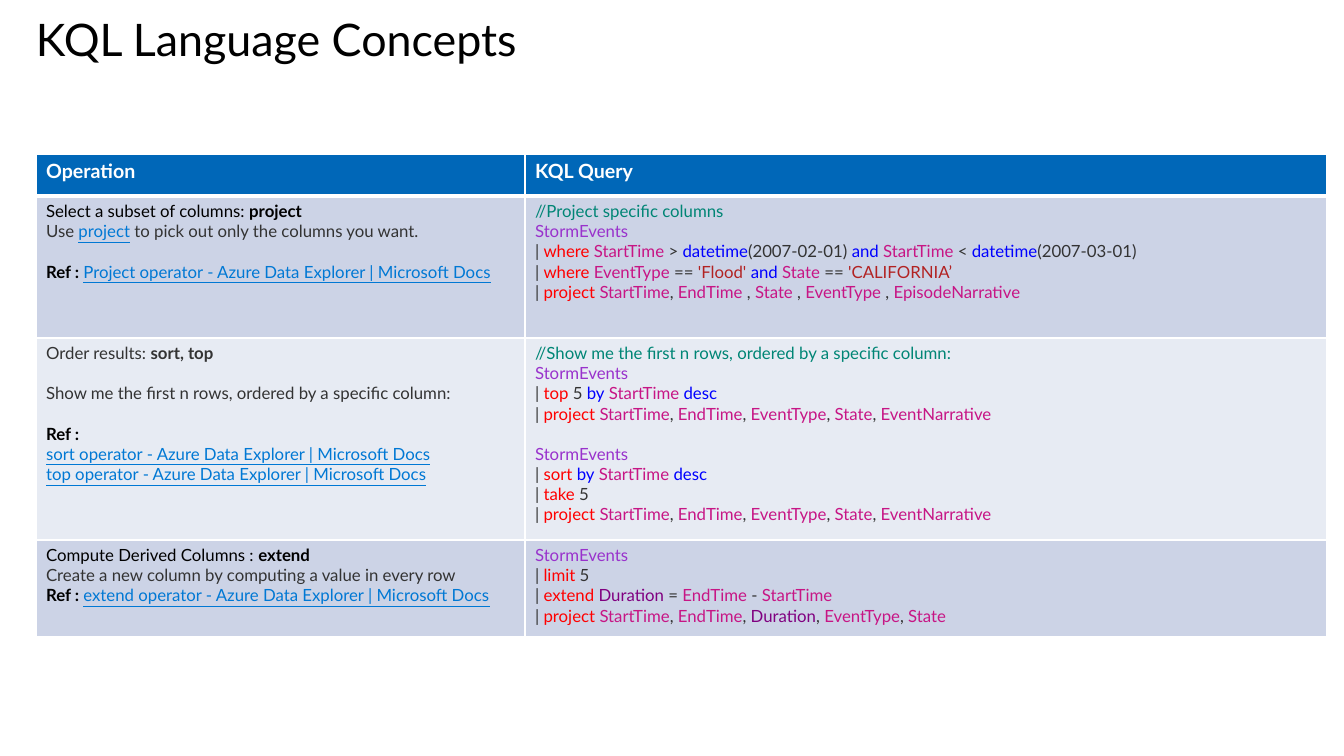
import itertools

import pptx
import pptx.dml.color
import pptx.enum.text
import pptx.oxml
import pptx.oxml.ns
import pptx.util

PX = 914400 / 100.8
FONT = "Lato"
LINE_GAP = 14.4

COLORS = {
    "white": "FFFFFF", "black": "000000", "grey": "333333", "link": "0078D4",
    "header": "0067B8", "band_dark": "CCD3E6", "band_light": "E7EBF3",
    "comment": "008575", "table": "9932CC", "operator": "FF0000",
    "keyword": "0000FF", "column": "C71585", "string": "B22222", "new_column": "800080",
}

TOKENS = {
    "table": ["StormEvents"],
    "operator": ["where", "project", "top", "sort", "take", "limit", "extend"],
    "keyword": ["datetime", "and", "by", "desc"],
    "column": ["StartTime", "EndTime", "EventType", "State", "EpisodeNarrative", "EventNarrative"],
    "new_column": ["Duration"],
}
TOKEN_COLORS = {word: color for color, words in TOKENS.items() for word in words}

BLACK = {"color": "black"}
BOLD = {"color": "black", "bold": True}
GREY = {"color": "grey"}
GREY_BOLD = {"color": "grey", "bold": True}
LINK = {"color": "link", "underline": True}

# Each cell is a list of stanzas, each stanza a list of lines.
ROWS = [
    ("band_dark", 142,
     [[[("Select a subset of columns: ", BLACK), ("project", BOLD)],
       [("Use ", GREY), ("project", LINK), (" to pick out only the columns you want.", GREY)]],
      [[("Ref : ", BOLD), ("Project operator - Azure Data Explorer | Microsoft Docs", LINK)]]],
     [["//Project specific columns",
       "StormEvents",
       "| where StartTime > datetime(2007-02-01) and StartTime < datetime(2007-03-01)",
       "| where EventType == 'Flood' and State == 'CALIFORNIA’",
       "| project StartTime, EndTime , State , EventType , EpisodeNarrative"]]),
    ("band_light", 202,
     [[[("Order results: ", GREY), ("sort, top", GREY_BOLD)]],
      [[("Show me the first n rows, ordered by a specific column:", GREY)]],
      [[("Ref :", BOLD)],
       [("sort operator - Azure Data Explorer | Microsoft Docs", LINK)],
       [("top operator - Azure Data Explorer | Microsoft Docs", LINK)]]],
     [["//Show me the first n rows, ordered by a specific column:",
       "StormEvents",
       "| top 5 by StartTime desc",
       "| project StartTime, EndTime, EventType, State, EventNarrative"],
      ["StormEvents",
       "| sort by StartTime desc",
       "| take 5",
       "| project StartTime, EndTime, EventType, State, EventNarrative"]]),
    ("band_dark", 97,
     [[[("Compute Derived Columns : ", BLACK), ("extend", BOLD)],
       [("Create a new column by computing a value in every row", GREY)],
       [("Ref : ", BOLD), ("extend operator - Azure Data Explorer | Microsoft Docs", LINK)]]],
     [["StormEvents",
       "| limit 5",
       "| extend Duration = EndTime - StartTime",
       "| project StartTime, EndTime, Duration, EventType, State"]]),
]


def px(length):
    return pptx.util.Emu(round(length * PX))


def rgb(name):
    return pptx.dml.color.RGBColor.from_string(COLORS[name])


def add_span(para, text, size=12, color="black", bold=False, underline=False):
    span = para.add_run()
    span.text = text
    font = span.font
    font.name, font.size = FONT, pptx.util.Pt(size)
    font.bold, font.underline = bold, underline
    font.color.rgb = rgb(color)


def query_spans(line):
    """Colour one line of a query by its words."""
    if line.startswith("//"):
        return [(line, {"color": "comment"})]

    def color_of(word):
        return "string" if word.startswith("'") else TOKEN_COLORS.get(word, "grey")

    words = ["".join(chars) for _, chars in
             itertools.groupby(line, key=lambda char: char.isalnum() or char in "'’")]
    return [("".join(group), {"color": color})
            for color, group in itertools.groupby(words, key=color_of)]


def write_stanzas(frame, stanzas):
    para = None
    for stanza in stanzas:
        for index, spans in enumerate(stanza):
            first = para is None
            para = frame.paragraphs[0] if first else frame.add_paragraph()
            if index == 0 and not first:
                para.space_before = pptx.util.Pt(LINE_GAP)
            for text, style in spans:
                add_span(para, text, **style)


def format_cell(cell, fill, top=1, bottom=1):
    """Set white borders, widths in points, and a solid fill."""
    properties = cell._tc.get_or_add_tcPr()
    for side, points in (("L", 1), ("R", 1), ("T", top), ("B", bottom)):
        properties.append(pptx.oxml.parse_xml(
            f'<a:ln{side} {pptx.oxml.ns.nsdecls("a")} w="{pptx.util.Pt(points)}">'
            f'<a:solidFill><a:srgbClr val="{COLORS["white"]}"/></a:solidFill></a:ln{side}>'))
    cell.fill.solid()
    cell.fill.fore_color.rgb = rgb(fill)


def add_title(page, text):
    title = page.shapes.title
    title.left, title.top, title.width, title.height = px(36), px(18), px(1200), px(50)
    title.fill.solid()
    title.fill.fore_color.rgb = rgb("white")
    frame = title.text_frame
    frame.margin_left = frame.margin_top = frame.margin_right = frame.margin_bottom = 0
    frame.auto_size = pptx.enum.text.MSO_AUTO_SIZE.NONE
    frame.vertical_anchor = pptx.enum.text.MSO_ANCHOR.TOP
    para = frame.paragraphs[0]
    para.alignment = pptx.enum.text.PP_ALIGN.LEFT
    para.line_spacing = 0.9
    add_span(para, text, size=32)


def add_query_table(page):
    widths = [489, 802]
    heights = [42] + [height for _, height, _, _ in ROWS]
    table = page.shapes.add_table(len(heights), len(widths), px(36), px(154),
                                  px(sum(widths)), px(sum(heights))).table
    table.horz_banding = False
    for column, width in zip(table.columns, widths):
        column.width = px(width)
    for row, height in zip(table.rows, heights):
        row.height = px(height)

    for column, heading in enumerate(["Operation", "KQL Query"]):
        cell = table.cell(0, column)
        format_cell(cell, "header", bottom=3)
        add_span(cell.text_frame.paragraphs[0], heading, size=14, color="white", bold=True)

    for row, (fill, _, operation, query) in enumerate(ROWS, start=1):
        colored_query = [[query_spans(line) for line in stanza] for stanza in query]
        for column, stanzas in enumerate([operation, colored_query]):
            cell = table.cell(row, column)
            format_cell(cell, fill, top=3 if row == 1 else 1)
            write_stanzas(cell.text_frame, stanzas)


def main():
    deck = pptx.Presentation()
    deck.slide_width, deck.slide_height = px(1344), px(756)
    page = deck.slides.add_slide(deck.slide_layouts.get_by_name("Title Only"))
    add_title(page, "KQL Language Concepts")
    add_query_table(page)
    deck.save("out.pptx")


if __name__ == "__main__":
    main()
